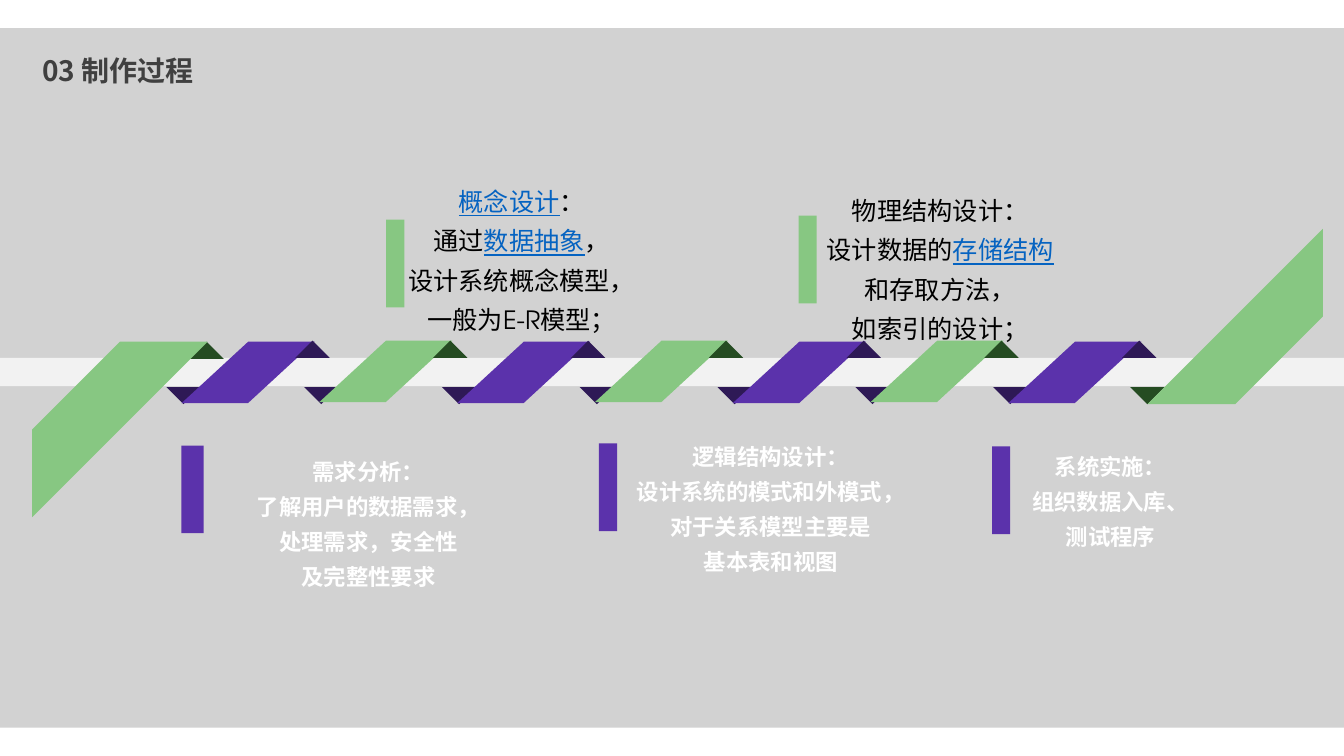
from lxml import etree
from pptx import Presentation
from pptx.dml.color import RGBColor
from pptx.enum.shapes import MSO_SHAPE
from pptx.enum.text import MSO_ANCHOR, PP_ALIGN
from pptx.oxml.ns import qn
from pptx.util import Inches, Pt

GREEN, DARK_GREEN = "87C782", "254C22"
PURPLE, DARK_PURPLE = "5B32AB", "2E1956"
LINK_BLUE = "0563C1"

presentation = Presentation()
presentation.slide_width = Inches(13.33)
presentation.slide_height = Inches(7.5)
slide = presentation.slides.add_slide(presentation.slide_layouts[6])


def add_block(kind, left, top, width, height, color, adjustment=None, rotation=0):
    shape = slide.shapes.add_shape(
        kind, Inches(left), Inches(top), Inches(width), Inches(height))
    shape.shadow.inherit = False
    shape.fill.solid()
    shape.fill.fore_color.rgb = RGBColor.from_string(color)
    shape.line.fill.background()
    shape.rotation = rotation
    if adjustment is not None:
        shape.adjustments[0] = adjustment


def add_text(text, left, top, width, height, size=16, color="FFFFFF", bold=False,
             font="TeX Gyre Adventor", align=PP_ALIGN.CENTER, spacing=1.3,
             before=0, anchor=MSO_ANCHOR.TOP, wrap=True):
    """Write one paragraph per line; pieces between bars are underlined in blue."""
    box = slide.shapes.add_textbox(
        Inches(left), Inches(top), Inches(width), Inches(height))
    frame = box.text_frame
    frame.word_wrap = wrap
    frame.vertical_anchor = anchor
    for line_number, line in enumerate(text.split("\n")):
        paragraph = frame.add_paragraph() if line_number else frame.paragraphs[0]
        paragraph.alignment = align
        paragraph.line_spacing = spacing
        paragraph.space_before = Pt(before)
        for piece_number, piece in enumerate(line.split("|")):
            if not piece:
                continue
            linked = piece_number % 2 == 1
            run = paragraph.add_run()
            run.text = piece
            run.font.size = Pt(size)
            run.font.bold = bold
            run.font.underline = linked
            run.font.name = font
            run.font.color.rgb = RGBColor.from_string(LINK_BLUE if linked else color)
            east_asian = etree.SubElement(run.font._element, qn("a:ea"))
            east_asian.set("typeface", font)


# Backdrop, title and the pale strip behind the ribbon
add_block(MSO_SHAPE.RECTANGLE, 0, 0.28, 13.33, 6.94, "D2D2D2")
add_text("03 制作过程", 0.32, 0.43, 4.99, 0.58, size=20, color="404040", bold=True,
         font="Noto Sans CJK SC", align=PP_ALIGN.LEFT, spacing=0.9, before=10,
         anchor=MSO_ANCHOR.MIDDLE)
add_block(MSO_SHAPE.RECTANGLE, 0, 3.55, 13.33, 0.28, "F2F2F2")

# Ribbon: a tail, seven alternating folds and a second tail
add_block(MSO_SHAPE.ISOSCELES_TRIANGLE, 1.88, 3.39, 0.34, 0.17, DARK_GREEN)
add_block(MSO_SHAPE.DIAGONAL_STRIPE, 0.32, 3.39, 1.74, 1.74, GREEN, 0.5)
fold_step = 8.2 / 6
for fold in range(7):
    left = 1.8 + fold * fold_step
    if fold % 2 == 0:
        top, color, shade = 3.39, PURPLE, DARK_PURPLE
    else:
        top, color, shade = 3.38, GREEN, DARK_GREEN
    add_block(MSO_SHAPE.ISOSCELES_TRIANGLE, left - 0.15, 3.84, 0.34, 0.17,
              DARK_PURPLE, rotation=180)
    add_block(MSO_SHAPE.PARALLELOGRAM, left, top, 1.32, 0.61, color, 1.084)
    add_block(MSO_SHAPE.ISOSCELES_TRIANGLE, left + 1.13, 3.38, 0.34, 0.17, shade)
add_block(MSO_SHAPE.ISOSCELES_TRIANGLE, 11.21, 3.84, 0.34, 0.17, DARK_GREEN,
          rotation=180)
add_block(MSO_SHAPE.DIAGONAL_STRIPE, 11.38, 2.27, 1.74, 1.74, GREEN, 0.5, rotation=180)

# Design stages above the ribbon: text, text box, wrapping, marker position
upper_stages = [
    ("|概念设计|：\n通过|数据抽象|，\n设计系统概念模型，\n一般为E-R模型；",
     (2.54, 1.71, 5.27, 1.63), True, (3.83, 2.18)),
    ("物理结构设计：\n设计数据的|存储结构|\n和存取方法，\n如索引的设计；",
     (8.09, 1.8, 2.47, 1.63), False, (7.92, 2.14)),
]
for text, text_area, wrap, marker in upper_stages:
    add_text(text, *text_area, size=18, color="000000", wrap=wrap)
    add_block(MSO_SHAPE.RECTANGLE, *marker, 0.18, 0.87, GREEN)

# Stages below the ribbon: text, text box, wrapping, marker position and width
lower_stages = [
    ("需求分析：\n了解用户的数据需求，\n处理需求，安全性\n及完整性要求",
     (2.09, 4.42, 3.13, 1.47), True, (1.8, 4.42, 0.22)),
    ("逻辑结构设计：\n设计系统的模式和外模式，\n对于关系模型主要是\n基本表和视图",
     (6.2, 4.27, 2.89, 1.47), False, (5.94, 4.4, 0.18)),
    ("系统实施：\n组织数据入库、\n测试程序",
     (10.13, 4.37, 1.77, 1.12), False, (9.84, 4.43, 0.18)),
]
for text, text_area, wrap, marker in lower_stages:
    add_text(text, *text_area, bold=True, wrap=wrap)
    add_block(MSO_SHAPE.RECTANGLE, *marker, 0.87, PURPLE)

presentation.save("out.pptx")
